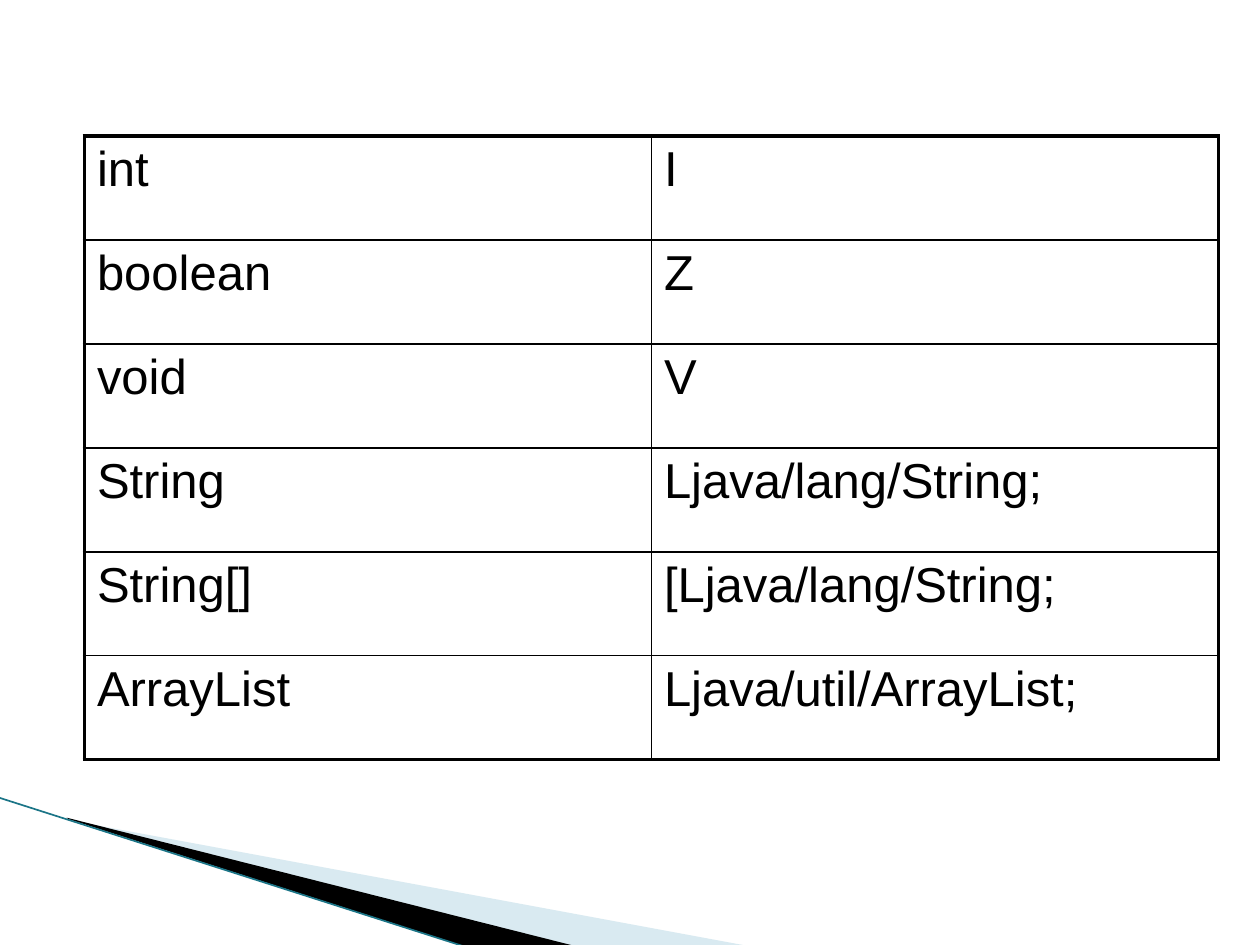
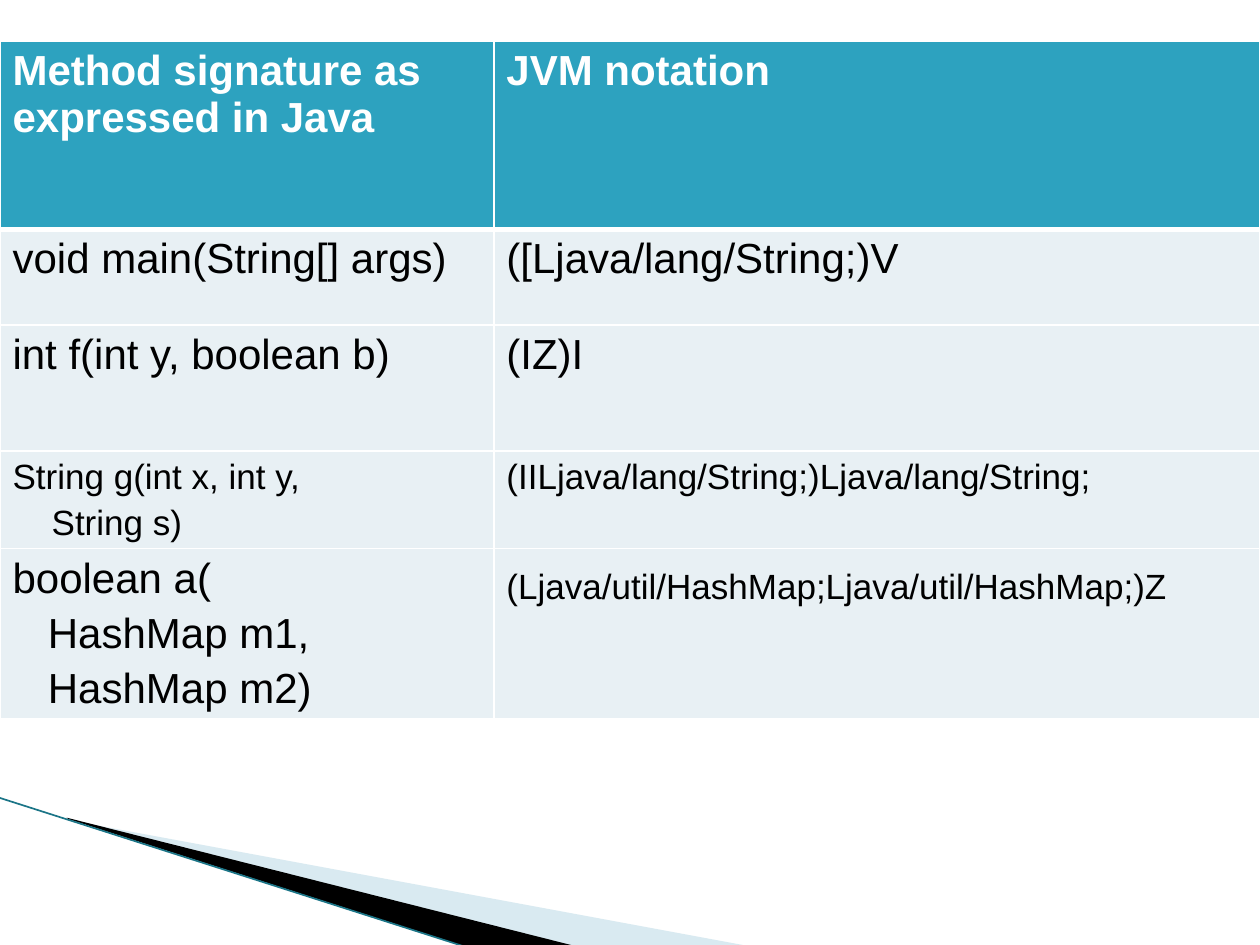
from lxml.etree import SubElement
from pptx import Presentation
from pptx.dml.color import RGBColor
from pptx.enum.shapes import MSO_CONNECTOR
from pptx.oxml.ns import qn
from pptx.util import Inches, Pt

FONT = "Arial"
BLACK = RGBColor(0x00, 0x00, 0x00)
WHITE = RGBColor(0xFF, 0xFF, 0xFF)
HEADER_TEAL = RGBColor(0x2D, 0xA2, 0xBF)
ROW_TINT = RGBColor(0xE8, 0xF0, 0xF4)
PALE_BLUE = RGBColor(0xA0, 0xCB, 0xDC)
EDGE_TEAL = RGBColor(0x1B, 0x75, 0x87)

TYPE_CODES = [
    ("int", "I"),
    ("boolean", "Z"),
    ("void", "V"),
    ("String", "Ljava/lang/String;"),
    ("String[]", "[Ljava/lang/String;"),
    ("ArrayList", "Ljava/util/ArrayList;"),
]
# Row height, text size, lines of the Java signature, JVM notation
SIGNATURES = [
    (1.49, 24, ["Method signature as expressed in Java"], "JVM notation"),
    (0.76, 24, ["void main(String[] args)"], "([Ljava/lang/String;)V"),
    (1.00, 24, ["int f(int y, boolean b)"], "(IZ)I"),
    (0.77, 20, ["String g(int x, int y,", "String s)"],
     "(IILjava/lang/String;)Ljava/lang/String;"),
    (1.11, 24, ["boolean a(", "HashMap m1,", "HashMap m2)"],
     "(Ljava/util/HashMap;Ljava/util/HashMap;)Z"),
]
CONTINUATION_INDENT = {20: 0.31, 24: 0.28}
NOTATION_SIZE = 20

# Corner wedges: outline, colour, opacity in percent
WEDGES = [
    ([(0.55, 6.51), (5.95, 7.51), (4.56, 7.51), (0.55, 6.5)], PALE_BLUE, 40),
    ([(0.53, 6.49), (4.57, 7.51), (3.72, 7.52), (0.54, 6.5)], BLACK, 100),
]
EDGE = (-0.01, 6.33, 3.71, 7.52)


def add_corner(slide, layout):
    """Draw the corner wedges and their edge, and move them to the layout."""
    for placeholder in list(layout.placeholders):
        layout.shapes.element.remove(placeholder.element)
    parts = []
    for outline, color, opacity in WEDGES:
        points = [(Inches(x), Inches(y)) for x, y in outline]
        builder = slide.shapes.build_freeform(*points[0])
        builder.add_line_segments(points[1:], close=True)
        wedge = builder.convert_to_shape()
        wedge.shadow.inherit = False
        wedge.fill.solid()
        wedge.fill.fore_color.rgb = color
        wedge.line.fill.background()
        if opacity < 100:
            tone = wedge.element.spPr.find(".//" + qn("a:srgbClr"))
            SubElement(tone, qn("a:alpha"), val=str(opacity * 1000))
        parts.append(wedge)
    edge = slide.shapes.add_connector(MSO_CONNECTOR.STRAIGHT, *map(Inches, EDGE))
    edge.line.color.rgb = EDGE_TEAL
    edge.line.width = Pt(0.95)
    SubElement(edge.element.spPr, qn("a:effectLst"))
    for part in parts + [edge]:
        layout.shapes.element.append(part.element)


def add_grid(slide, left, top, widths, heights):
    """Add a table without banding and return it."""
    frame = slide.shapes.add_table(
        len(heights), len(widths), Inches(left), Inches(top),
        Inches(sum(widths)), Inches(sum(heights)))
    grid = frame.table
    grid.first_row = grid.horz_banding = False
    for column, width in zip(grid.columns, widths):
        column.width = Inches(width)
    for row, height in zip(grid.rows, heights):
        row.height = Inches(height)
    return grid


def style_cell(cell, color, left, top, right, bottom, fill=None):
    """Set the four border widths in points, then the fill."""
    properties = cell._tc.get_or_add_tcPr()
    for side, width in zip("LRTB", (left, right, top, bottom)):
        border = SubElement(properties, qn("a:ln" + side), w=str(Pt(width)))
        solid = SubElement(border, qn("a:solidFill"))
        SubElement(solid, qn("a:srgbClr"), val=str(color))
    if fill is None:
        cell.fill.background()
    else:
        cell.fill.solid()
        cell.fill.fore_color.rgb = fill


def add_run(paragraph, text, size, color=BLACK, bold=False):
    """Append one formatted run."""
    run = paragraph.add_run()
    run.text = text
    run.font.name = FONT
    run.font.size = Pt(size)
    run.font.color.rgb = color
    run.font.bold = bold


def write_lines(cell, lines, size, color=BLACK, bold=False):
    """Write one paragraph a line, with all but the first indented."""
    for index, line in enumerate(lines):
        frame = cell.text_frame
        paragraph = frame.add_paragraph() if index else frame.paragraphs[0]
        paragraph.space_before = Pt(size * 0.2)
        if index:
            indent = Inches(CONTINUATION_INDENT[size])
            paragraph._p.get_or_add_pPr().set("marL", str(indent))
        add_run(paragraph, line, size, color, bold)


def build_type_codes(slide):
    """Table of Java types and their JVM codes."""
    count = len(TYPE_CODES)
    grid = add_grid(slide, 0.67, 1.08, [4.5, 4.5], [4.95 / count] * count)
    thin, thick = 1, 2.25
    for r, pair in enumerate(TYPE_CODES):
        for c, text in enumerate(pair):
            cell = grid.cell(r, c)
            style_cell(cell, BLACK,
                       left=thin if c else thick,
                       top=thin if r else thick,
                       right=thick if c else thin,
                       bottom=thick if r == count - 1 else thin)
            write_lines(cell, [text], 28)


def build_signatures(slide):
    """Table of method signatures and their JVM notation."""
    grid = add_grid(slide, 0, 0.33, [3.92, 6.08], [row[0] for row in SIGNATURES])
    last = len(SIGNATURES) - 1
    for r, (_, size, signature, notation) in enumerate(SIGNATURES):
        header = r == 0
        color = WHITE if header else BLACK
        for c, lines in enumerate((signature, [notation])):
            cell = grid.cell(r, c)
            style_cell(cell, WHITE, left=1, top=3 if r == 1 else 1, right=1,
                       bottom=3 if header else 1,
                       fill=HEADER_TEAL if header else ROW_TINT)
            text_size = NOTATION_SIZE if c and r == last else size
            write_lines(cell, lines, text_size, color, header)
    # A larger closing space sets the line height of the last notation
    add_run(grid.cell(last, 1).text_frame.paragraphs[0], " ", 28)


deck = Presentation()
deck.slide_width, deck.slide_height = Inches(10), Inches(7.5)
blank = deck.slide_layouts[6]
types_slide = deck.slides.add_slide(blank)
add_corner(types_slide, blank)
build_type_codes(types_slide)
build_signatures(deck.slides.add_slide(blank))
deck.save("out.pptx")
